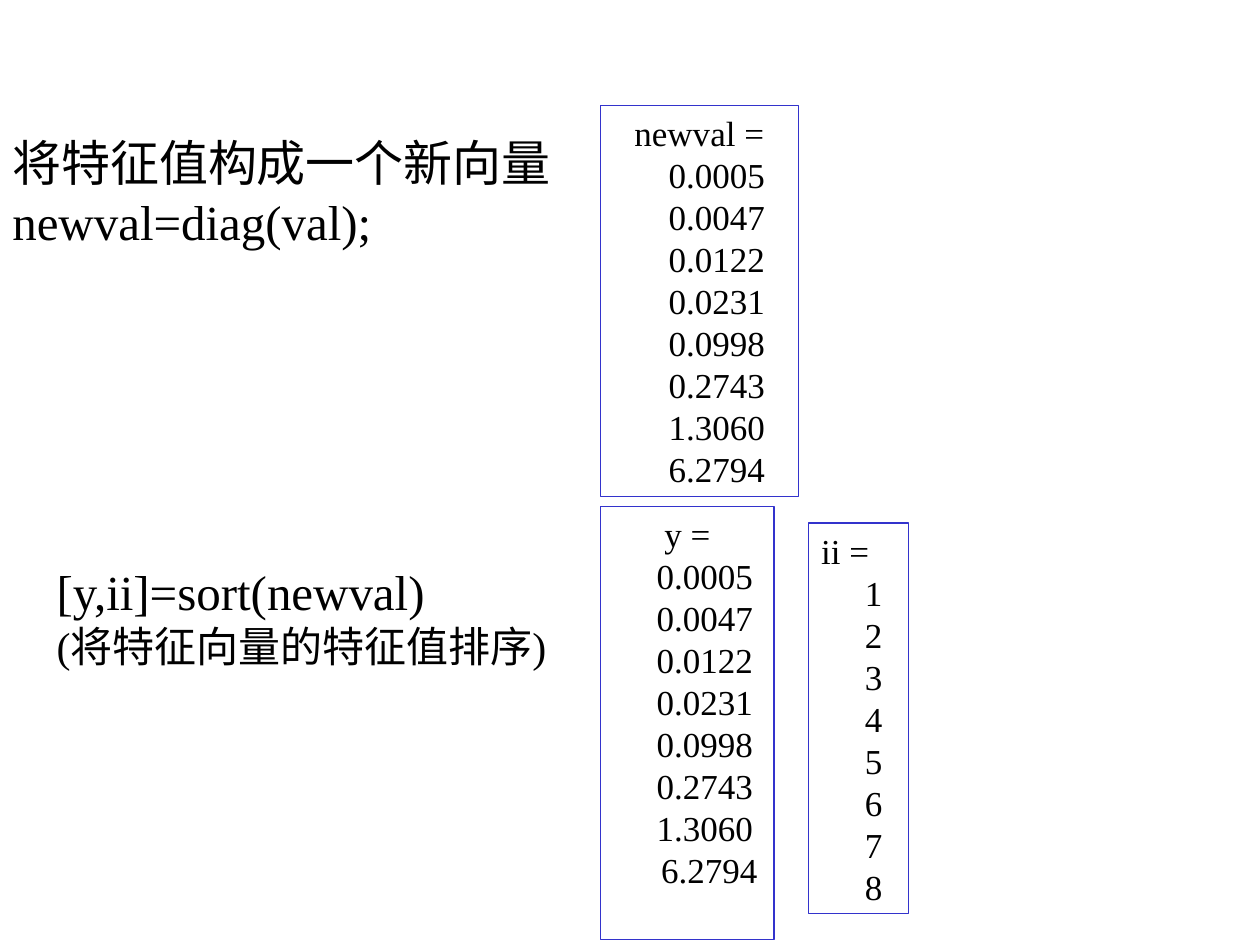
"""Build a slide showing how eigenvalues are collected and sorted."""
from pptx import Presentation
from pptx.dml.color import RGBColor
from pptx.enum.shapes import MSO_SHAPE
from pptx.enum.text import MSO_ANCHOR, PP_ALIGN
from pptx.util import Pt

RECTANGLE = MSO_SHAPE.RECTANGLE
TOP, MIDDLE = MSO_ANCHOR.TOP, MSO_ANCHOR.MIDDLE
LEFT, CENTER = PP_ALIGN.LEFT, PP_ALIGN.CENTER
FONT = "Times New Roman"
COLORS = {"text": "000000", "border": "3333CC"}


def write_lines(box, lines, anchor, align):
    frame = box.text_frame
    frame.word_wrap = True
    frame.vertical_anchor = anchor
    for index, (text, size, indent) in enumerate(lines):
        para = frame.add_paragraph() if index else frame.paragraphs[0]
        para.alignment = align
        para._p.get_or_add_pPr().set("marL", str(Pt(indent)))
        span = para.add_run()
        span.text = text
        span.font.name = FONT
        span.font.size = Pt(size)
        span.font.color.rgb = RGBColor.from_string(COLORS["text"])


deck = Presentation()
deck.slide_width, deck.slide_height = Pt(720), Pt(540)
page = deck.slides.add_slide(deck.slide_layouts[6])

commands = [
    ((0, 72, 377.3, 75), [("将特征值构成一个新向量newval=diag(val);".replace(";", ";"), 28, 0)]),
    ((25.2, 314.6, 306, 75), [("[y,ii]=sort(newval)", 28, 0), ("(将特征向量的特征值排序)", 24, 0)]),
]
for place, lines in commands:
    box = page.shapes.add_textbox(*map(Pt, place))
    write_lines(box, lines, MIDDLE, LEFT)

eigenvalues = ["0.0005", "0.0047", "0.0122", "0.0231", "0.0998", "0.2743", "1.3060", "6.2794"]
ranks = [str(rank) for rank in range(1, 9)]
results = [
    ("newval =", eigenvalues, 20, 20, (343, 60.3, 113.2, 223.4), CENTER),
    ("y =", eigenvalues, 20, 25, (343.2, 289.4, 99.2, 247.6), CENTER),
    ("ii =", ranks, 25, 25, (462.2, 298.8, 56.9, 223.4), LEFT),
]
for heading, values, indent, last_indent, place, align in results:
    box = page.shapes.add_shape(RECTANGLE, *map(Pt, place))
    box.shadow.inherit = False
    box.fill.background()
    box.line.color.rgb = RGBColor.from_string(COLORS["border"])
    box.line.width = Pt(0.74)
    lines = [(heading, 20, 0)]
    lines += [(value, 20, indent) for value in values[:-1]]
    lines.append((values[-1], 20, last_indent))
    write_lines(box, lines, TOP, align)

deck.save("out.pptx")
